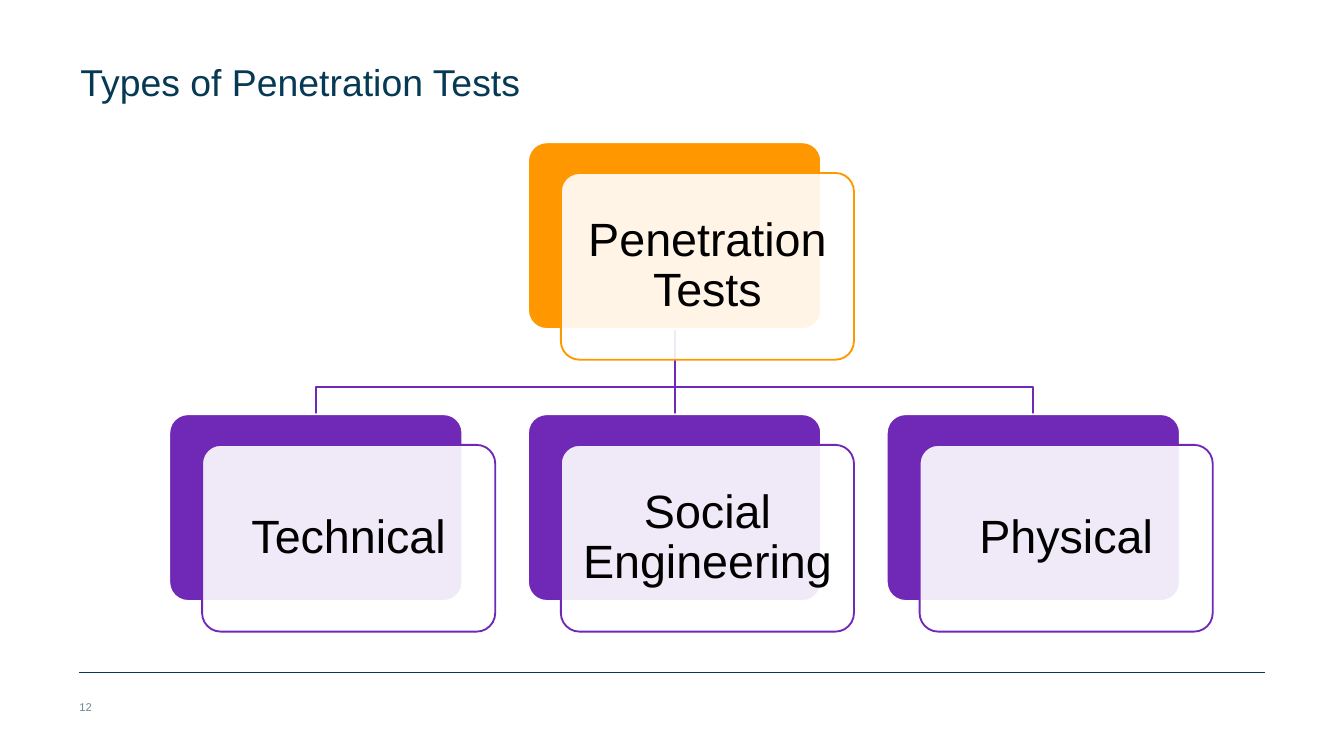
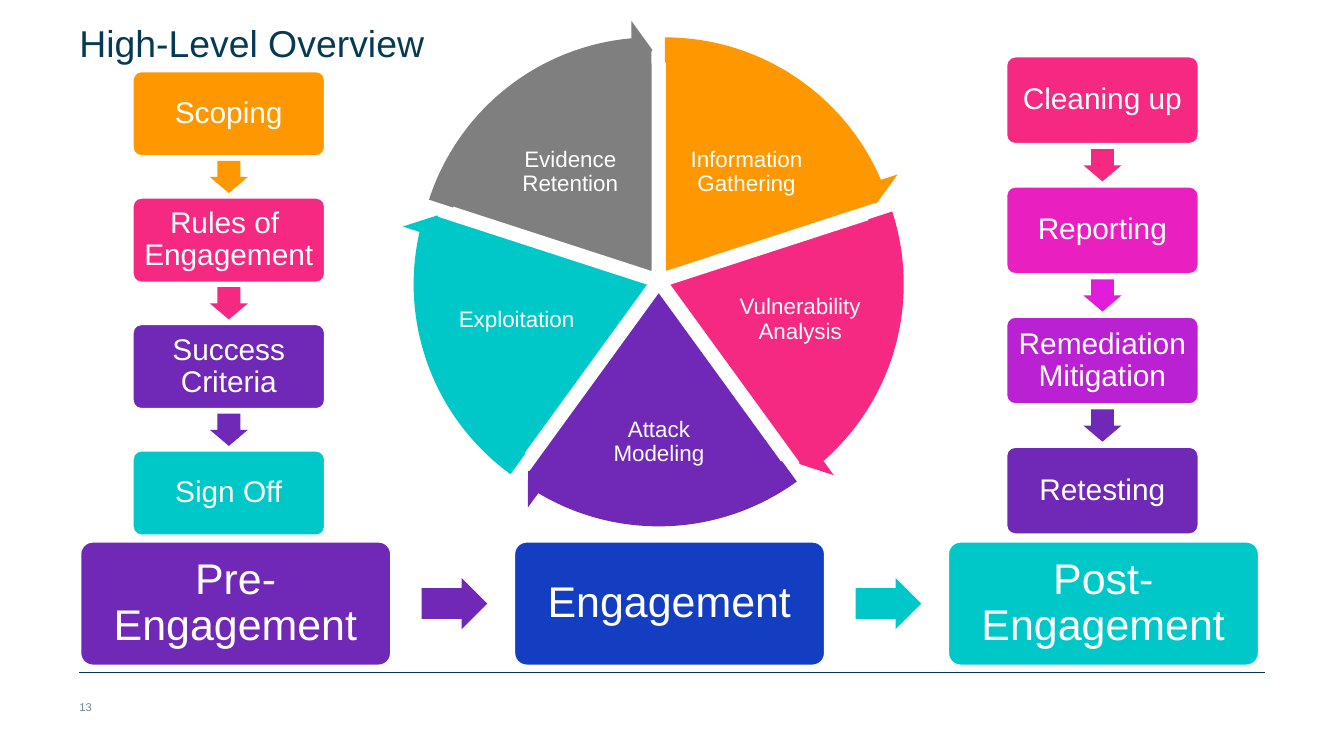
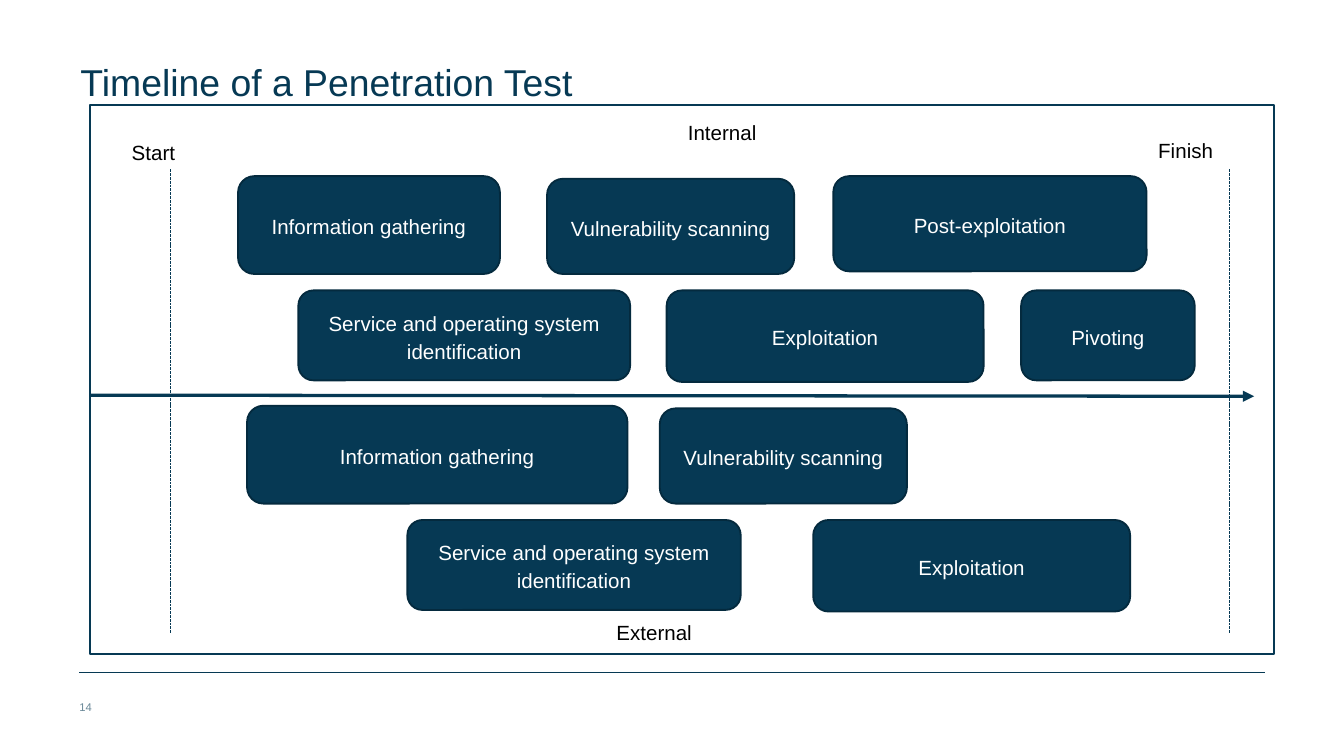
from math import cos, radians, sin

from lxml import etree
from pptx import Presentation
from pptx.dml.color import RGBColor
from pptx.enum.dml import MSO_LINE
from pptx.enum.shapes import MSO_CONNECTOR, MSO_SHAPE
from pptx.enum.text import MSO_ANCHOR, PP_ALIGN
from pptx.oxml.ns import qn
from pptx.util import Cm, Pt

ROUND, RECT = MSO_SHAPE.ROUNDED_RECTANGLE, MSO_SHAPE.RECTANGLE
ARROW, PIE, CIRCULAR = MSO_SHAPE.RIGHT_ARROW, MSO_SHAPE.PIE, MSO_SHAPE.CIRCULAR_ARROW
STRAIGHT, DASH = MSO_CONNECTOR.STRAIGHT, MSO_LINE.SQUARE_DOT
CENTER, LEFT = PP_ALIGN.CENTER, PP_ALIGN.LEFT
MIDDLE, TOP = MSO_ANCHOR.MIDDLE, MSO_ANCHOR.TOP

FONT = "Arial"
COLORS = {
    "navy": "063954", "edge": "042A3E", "slate": "698898", "black": "000000",
    "white": "FFFFFF", "orange": "FF9800", "purple": "7028B7", "pink": "F52882",
    "teal": "00C8C8", "blue": "133EC1", "gray": "7F7F7F", "magenta": "E91FBF",
    "orchid": "E21CDB", "violet": "B921D3",
}

# Content: all lengths in centimetres
TEST_ROOT = "Penetration Tests"
TEST_TYPES = ["Technical", "Social Engineering", "Physical"]

PHASES = [("Pre-Engagement", "purple"), ("Engagement", "blue"),
          ("Post-Engagement", "teal")]
PHASE_ARROWS = ["purple", "teal"]

# Each step: text, box colour, colour of the arrow below it
STEP_COLUMNS = [
    {"left": 2.51, "top": 1.35, "pitch": 2.39, "height": 1.6, "steps": [
        ("Scoping", "orange", "orange"), ("Rules of \nEngagement", "pink", "pink"),
        ("Success\nCriteria", "purple", "purple"), ("Sign Off", "teal", None)]},
    {"left": 19.02, "top": 1.07, "pitch": 2.46, "height": 1.65, "steps": [
        ("Cleaning up", "pink", "pink"), ("Reporting", "magenta", "orchid"),
        ("Remediation\nMitigation", "violet", "purple"), ("Retesting", "purple", None)]},
]

# Each wedge: text, colour, label box
WEDGES = [
    ("Information Gathering", "orange", (12.75, 2.34, 2.72, 1.83)),
    ("Vulnerability Analysis", "pink", (13.87, 5.03, 2.51, 2.03)),
    ("Attack Modeling", "purple", (11.25, 7.24, 2.41, 2.24)),
    ("Exploitation", "teal", (8.51, 5.03, 2.51, 2.03)),
    ("Evidence Retention", "gray", (9.42, 2.34, 2.72, 1.83)),
]

TIMELINE_LABELS = [
    ("Start", 2.24, 2.46, 1.96), ("Finish", 21.64, 2.41, 2.41),
    ("Internal", 12.75, 2.08, 3.0), ("External", 11.4, 11.53, 2.84),
]
TIMELINE_BLOCKS = [
    # internal
    ("Information gathering", (4.5, 3.33, 4.95, 1.85)),
    ("Vulnerability scanning", (10.34, 3.38, 4.67, 1.8)),
    ("Post-exploitation", (15.75, 3.33, 5.92, 1.8)),
    ("Service and operating system identification", (5.64, 5.49, 6.27, 1.7)),
    ("Exploitation", (12.6, 5.49, 5.99, 1.73)),
    ("Pivoting", (19.3, 5.49, 3.28, 1.7)),
    # external
    ("Information gathering", (4.67, 7.67, 7.19, 1.85)),
    ("Vulnerability scanning", (12.47, 7.72, 4.67, 1.8)),
    ("Service and operating system identification", (7.7, 9.83, 6.3, 1.7)),
    ("Exploitation", (15.37, 9.83, 5.99, 1.73)),
]


# Shared helpers
def rgb(name):
    return RGBColor.from_string(COLORS[name])


def write(sp, text, size, color, align=CENTER, anchor=MIDDLE, spacing=0.9,
          inset=(0.25, 0.13)):
    tf = sp.text_frame
    tf.word_wrap = True
    tf.vertical_anchor = anchor
    tf.margin_left = tf.margin_right = Cm(inset[0])
    tf.margin_top = tf.margin_bottom = Cm(inset[1])
    p = tf.paragraphs[0]
    p.alignment, p.line_spacing = align, spacing
    for i, line in enumerate(text.split("\n")):
        if i:
            p.add_line_break()
        r = p.add_run()
        r.text = line
        r.font.name, r.font.size = FONT, Pt(size)
        r.font.color.rgb = rgb(color)


def set_line(line, color, width):
    if color:
        line.color.rgb = rgb(color)
        line.width = Pt(width)
    else:
        line.fill.background()


def add_shape(s, kind, box, fill, line=None, width=1, adj=()):
    sp = s.shapes.add_shape(kind, *map(Cm, box))
    sp.shadow.inherit = False
    if fill:
        sp.fill.solid()
        sp.fill.fore_color.rgb = rgb(fill)
    else:
        sp.fill.background()
    set_line(sp.line, line, width)
    for i, value in enumerate(adj):
        sp.adjustments[i] = value
    return sp


def add_label(s, box, text, size, color, **style):
    write(s.shapes.add_textbox(*map(Cm, box)), text, size, color, **style)


def add_line(s, start, end, color, width):
    c = s.shapes.add_connector(STRAIGHT, *map(Cm, start + end))
    set_line(c.line, color, width)
    etree.SubElement(c._element.spPr, qn("a:effectLst"))
    return c


def add_slide(prs, title, number, left=1.52, top=1.04):
    s = prs.slides.add_slide(prs.slide_layouts[6])
    plain = {"align": LEFT, "anchor": TOP, "inset": (0, 0)}
    add_line(s, (1.5, 12.7), (23.9, 12.7), "navy", 0.25)
    add_label(s, (1.5, 13.23, 0.5, 0.25), str(number), 6, "slate", spacing=1.0, **plain)
    add_label(s, (left, top, 10.69, 2.79), title, 20, "navy", spacing=1.1, **plain)
    return s


# Tree of test types
def add_types(prs):
    s = add_slide(prs, "Types of Penetration Tests", 12)
    w, h = 5.54, 3.53
    left, pitch = 3.2, 6.78
    root_top, child_top, bend = 2.69, 7.83, 7.32
    root_left = left + pitch
    cx, root_bottom = root_left + w / 2, root_top + h
    lefts = [left + i * pitch for i in range(len(TEST_TYPES))]

    for x in lefts:
        end = x + w / 2
        if abs(end - cx) < 0.01:
            add_line(s, (cx, root_bottom), (cx, child_top), "purple", 1)
            continue
        path = s.shapes.build_freeform(Cm(cx), Cm(root_bottom))
        path.add_line_segments([(Cm(px), Cm(py)) for px, py in
                                ((cx, bend), (end, bend), (end, child_top))], close=False)
        sp = path.convert_to_shape()
        sp.shadow.inherit = False
        sp.fill.background()
        set_line(sp.line, "purple", 1)

    cards = [(TEST_ROOT, root_left, root_top, "orange")]
    cards += [(text, x, child_top, "purple") for text, x in zip(TEST_TYPES, lefts)]
    for text, x, y, color in cards:
        add_shape(s, ROUND, (x, y, w, h), color, "white", adj=[0.1])
        sp = add_shape(s, ROUND, (x + 0.62, y + 0.58, w, h), "white", color, adj=[0.1])
        tint = sp._element.spPr.find(qn("a:solidFill"))[0]
        etree.SubElement(tint, qn("a:alpha"), val="90000")
        write(sp, text, 25, "black", inset=(0.25, 0.25))


# Phases, their steps and the engagement cycle
def add_phases(s):
    left, top, w, h, pitch = 1.52, 10.24, 5.87, 2.34, 8.2
    for i, (text, color) in enumerate(PHASES):
        sp = add_shape(s, ROUND, (left + i * pitch, top, w, h), color, "white", adj=[0.1])
        write(sp, text, 23, "white", inset=(0.25, 0.25))
    aw, ah = 1.24, 0.97
    for i, color in enumerate(PHASE_ARROWS):
        box = (left + i * pitch + 6.45, top + (h - ah) / 2, aw, ah)
        add_shape(s, ARROW, box, color, adj=[0.6, 0.5])


def add_steps(s, left, top, pitch, height, steps):
    w, aw, ah = 3.63, 0.61, 0.72
    for i, (text, color, arrow) in enumerate(steps):
        y = top + i * pitch
        sp = add_shape(s, ROUND, (left, y, w, height), color, "white", adj=[0.1])
        write(sp, text, 16, "white", inset=(0.17, 0.17))
        if arrow:
            mid = y + (height + pitch) / 2
            sp = add_shape(s, ARROW, (left + (w - aw) / 2, mid - ah / 2, aw, ah),
                           arrow, adj=[0.6, 0.5])
            sp.rotation = 90


def add_cycle(s):
    cx, cy, shift = 12.45, 5.31, 0.2
    pie_size, ring_size = 8.48, 9.55
    # adjustment values of angles: a full turn is 216
    turn, top_angle, head = 216, 162, 3.28
    sweep = turn / len(WEDGES)

    def centred(i, size):
        a = radians(360 / len(WEDGES) * (i + 0.5) - 90)
        return (cx + shift * cos(a) - size / 2, cy + shift * sin(a) - size / 2, size, size)

    angles = [((top_angle + i * sweep) % turn, (top_angle + (i + 1) * sweep) % turn)
              for i in range(len(WEDGES))]
    for i, (text, color, box) in enumerate(WEDGES):
        add_shape(s, PIE, centred(i, pie_size), color, "white", adj=angles[i])
        add_label(s, box, text, 12, "white", inset=(0.05, 0.05))
    for i, (_, color, _) in enumerate(WEDGES):
        start, end = angles[i]
        add_shape(s, CIRCULAR, centred(i, ring_size), color,
                  adj=[0.05, head, end - head, start, 0.06])


def add_overview(prs):
    s = add_slide(prs, "High-Level Overview", 13, left=1.5, top=0.3)
    add_phases(s)
    add_steps(s, **STEP_COLUMNS[0])
    add_cycle(s)
    add_steps(s, **STEP_COLUMNS[1])


# Timeline
def add_timeline(prs):
    s = add_slide(prs, "Timeline of a Penetration Test", 14)
    add_shape(s, RECT, (1.7, 1.98, 22.38, 10.39), None, "navy", 1.25)
    for text, x, y, w in TIMELINE_LABELS:
        sp = add_shape(s, RECT, (x, y, w, 0.74), "white")
        write(sp, text, 11, "black", align=LEFT, anchor=TOP, spacing=Pt(15))

    axis = add_line(s, (1.7, 7.47), (23.7, 7.49), "navy", 1.75)
    etree.SubElement(axis.line._get_or_add_ln(), qn("a:tailEnd"), type="triangle")
    for x in (3.23, 23.23):
        add_line(s, (x, 3.2), (x, 11.96), "navy", 0.5).line.dash_style = DASH

    for text, box in TIMELINE_BLOCKS:
        write(add_shape(s, ROUND, box, "navy", "edge"), text, 11, "white", spacing=Pt(15))


def main():
    prs = Presentation()
    prs.slide_width, prs.slide_height = Cm(25.4), Cm(14.29)
    add_types(prs)
    add_overview(prs)
    add_timeline(prs)
    prs.save("out.pptx")


if __name__ == "__main__":
    main()
